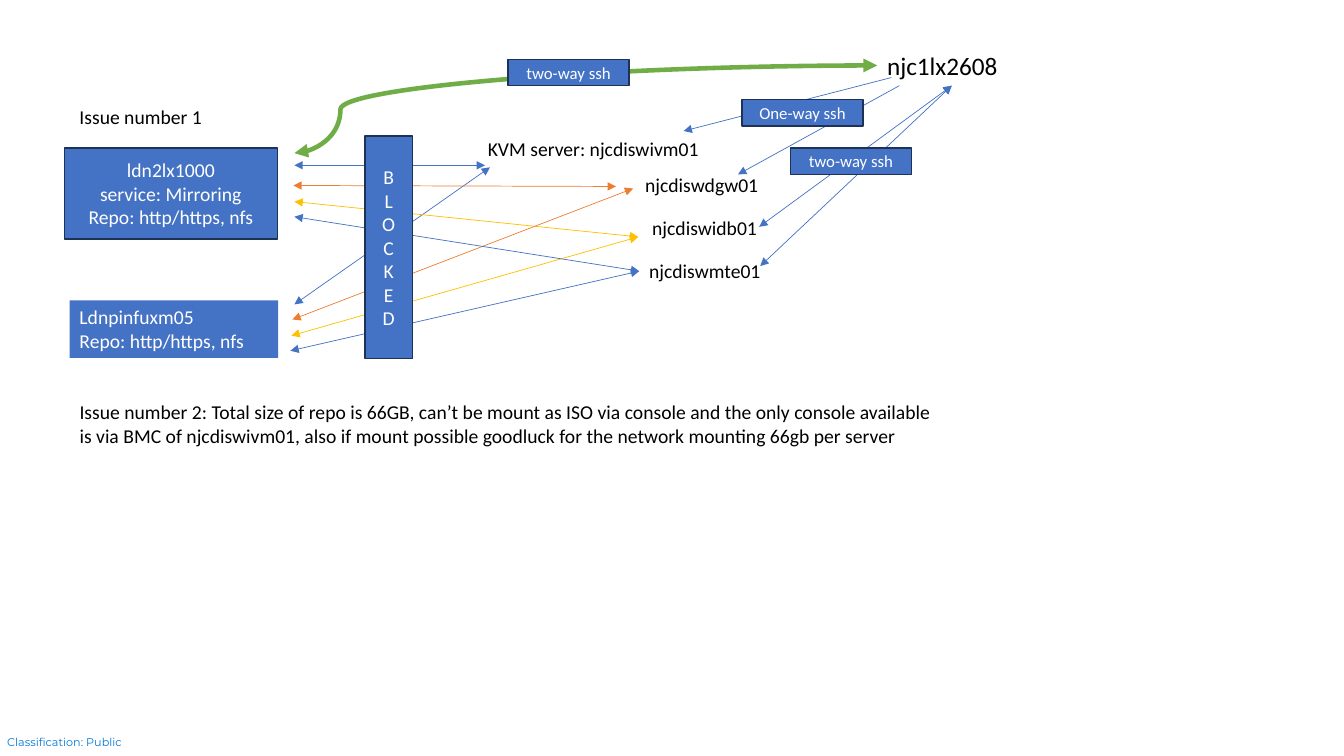
from lxml.etree import SubElement
from pptx import Presentation
from pptx.dml.color import RGBColor
from pptx.enum.shapes import MSO_CONNECTOR, MSO_SHAPE
from pptx.enum.text import MSO_ANCHOR, PP_ALIGN
from pptx.oxml.ns import qn
from pptx.util import Inches, Pt

COLORS = {
    "blue": "4472C4", "navy": "1E3256", "gold": "FFC000", "orange": "ED7D31",
    "green": "70AD47", "white": "FFFFFF", "black": "000000", "notice": "0078D7",
}

FOOTER = ("Classification: Public", 0.07, 7.3, 1.32, 0.13)
MIRROR_HOST = (["ldn2lx1000\nservice: Mirroring", "Repo: http/https, nfs"], 0.64, 1.47, 2.11, 0.9)
REPO_HOST = (["Ldnpinfuxm05", "Repo: http/https, nfs"], 0.69, 2.98, 2.07, 0.57)
BLOCKER = (list("BLOCKED"), 3.62, 1.35, 0.47, 2.21)

LABELS = [
    ("KVM server: njcdiswivm01", 4.74, 1.31, 3.17, 0.34, 14),
    ("Issue number 1", 0.69, 0.99, 1.43, 0.34, 14),
    ("Issue number 2: Total size of repo is 66GB, can’t be mount as ISO via console and the only "
     "console available is via BMC of njcdiswivm01, also if mount possible goodluck for the network "
     "mounting 66gb per server", 0.69, 3.92, 8.65, 0.57, 14),
    ("njc1lx2608", 8.7, 0.45, 1.47, 0.4, 18),
    ("njcdiswdgw01", 6.3, 1.67, 1.42, 0.34, 14),
    ("njcdiswidb01", 6.37, 2.09, 1.32, 0.34, 14),
    ("njcdiswmte01", 6.34, 2.52, 1.46, 0.34, 14),
]

BLOCKED_LINKS = [
    ((4.81, 1.64), (2.92, 1.64), "blue"),
    ((4.86, 1.66), (2.92, 3.02), "blue"),
    ((6.33, 2.35), (2.92, 2.0), "gold"),
    ((6.33, 2.35), (2.89, 3.33), "gold"),
    ((6.11, 1.85), (2.91, 1.84), "orange"),
    ((6.28, 1.87), (2.9, 3.17), "orange"),
    ((6.34, 2.69), (2.92, 2.15), "blue"),
    ((6.34, 2.69), (2.88, 3.48), "blue"),
]
ONE_WAY_LINKS = [((8.84, 0.77), (6.78, 1.3)), ((8.92, 0.85), (7.32, 1.73))]
TWO_WAY_LINKS = [((9.44, 0.85), (7.53, 2.25)), ((9.44, 0.85), (7.54, 2.64))]
SSH_CURVE = ((2.92, 1.52), (8.7, 0.65))
CURVE_BEND = 7900
SSH_TAGS = [("One-way ssh", 7.36, 0.99), ("two-way ssh", 7.84, 1.47), ("two-way ssh", 5.04, 0.59)]
TAG_SIZE = (1.2, 0.26)


def color(name):
    return RGBColor.from_string(COLORS[name])


def write(frame, lines, size, tint, align=PP_ALIGN.LEFT, font="Calibri"):
    frame.word_wrap = True
    for index, line in enumerate(lines):
        para = frame.paragraphs[0] if index == 0 else frame.add_paragraph()
        para.alignment = align
        for part, words in enumerate(line.split("\n")):
            if part:
                para.add_line_break()
            span = para.add_run()
            span.text = words
            span.font.name = font
            span.font.size = Pt(size)
            span.font.color.rgb = color(tint)


def add_label(page, text, left, top, width, height, size, tint="black", font="Calibri"):
    box = page.shapes.add_textbox(*map(Inches, (left, top, width, height)))
    write(box.text_frame, [text], size, tint, font=font)
    return box


def add_block(page, lines, left, top, width, height, size=14, outlined=True):
    box = page.shapes.add_shape(MSO_SHAPE.RECTANGLE, *map(Inches, (left, top, width, height)))
    box.shadow.inherit = False
    box.fill.solid()
    box.fill.fore_color.rgb = color("blue")
    if outlined:
        box.line.color.rgb = color("navy")
        box.line.width = Pt(1)
    else:
        box.line.fill.background()
    box.text_frame.vertical_anchor = MSO_ANCHOR.MIDDLE if outlined else MSO_ANCHOR.TOP
    write(box.text_frame, lines, size, "white", PP_ALIGN.CENTER if outlined else PP_ALIGN.LEFT)


def add_link(page, start, end, tint="blue", ends=("headEnd", "tailEnd"),
             width=0.5, kind=MSO_CONNECTOR.STRAIGHT):
    link = page.shapes.add_connector(kind, *map(Inches, start + end))
    link.line.color.rgb = color(tint)
    link.line.width = Pt(width)
    properties = link._element.spPr
    for name in ends:
        SubElement(properties.find(qn("a:ln")), qn("a:" + name), type="triangle")
    SubElement(properties, qn("a:effectLst"))
    return link


def main():
    deck = Presentation()
    deck.slide_width, deck.slide_height = Inches(13.33), Inches(7.5)
    page = deck.slides.add_slide(deck.slide_layouts[6])

    footer = add_label(page, *FOOTER, 8, "notice", "Montserrat").text_frame
    footer.margin_left = footer.margin_right = footer.margin_top = footer.margin_bottom = 0
    footer.word_wrap = False

    add_block(page, *MIRROR_HOST)
    add_block(page, *REPO_HOST, outlined=False)
    for start, end, tint in BLOCKED_LINKS:
        add_link(page, start, end, tint)
    add_block(page, *BLOCKER)
    for label in LABELS:
        add_label(page, *label)
    for start, end in ONE_WAY_LINKS:
        add_link(page, start, end, ends=("tailEnd",))
    for start, end in TWO_WAY_LINKS:
        add_link(page, start, end)

    curve = add_link(page, *SSH_CURVE, "green", width=3.25, kind=MSO_CONNECTOR.CURVE)
    guides = curve._element.spPr.find(qn("a:prstGeom")).find(qn("a:avLst"))
    SubElement(guides, qn("a:gd"), name="adj1", fmla=f"val {CURVE_BEND}")
    for text, left, top in SSH_TAGS:
        add_block(page, [text], left, top, *TAG_SIZE, size=12)

    deck.save("out.pptx")


if __name__ == "__main__":
    main()
